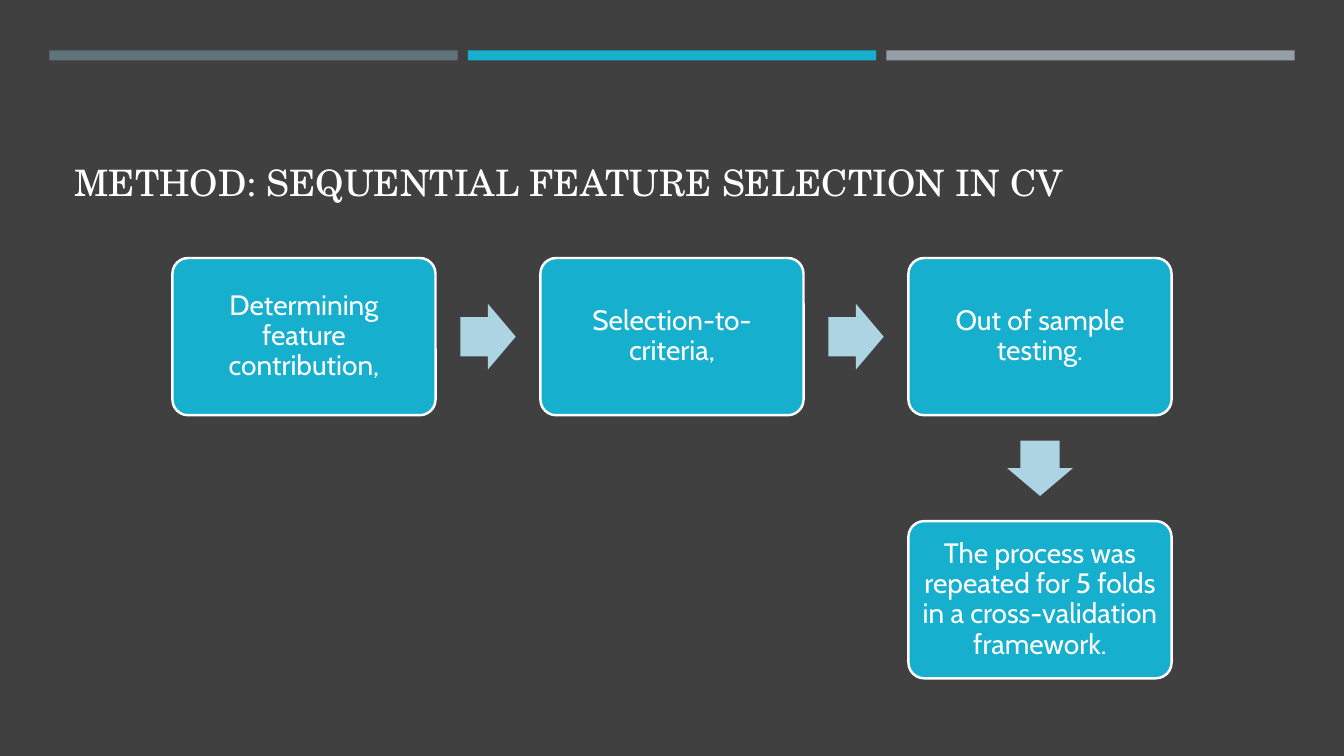
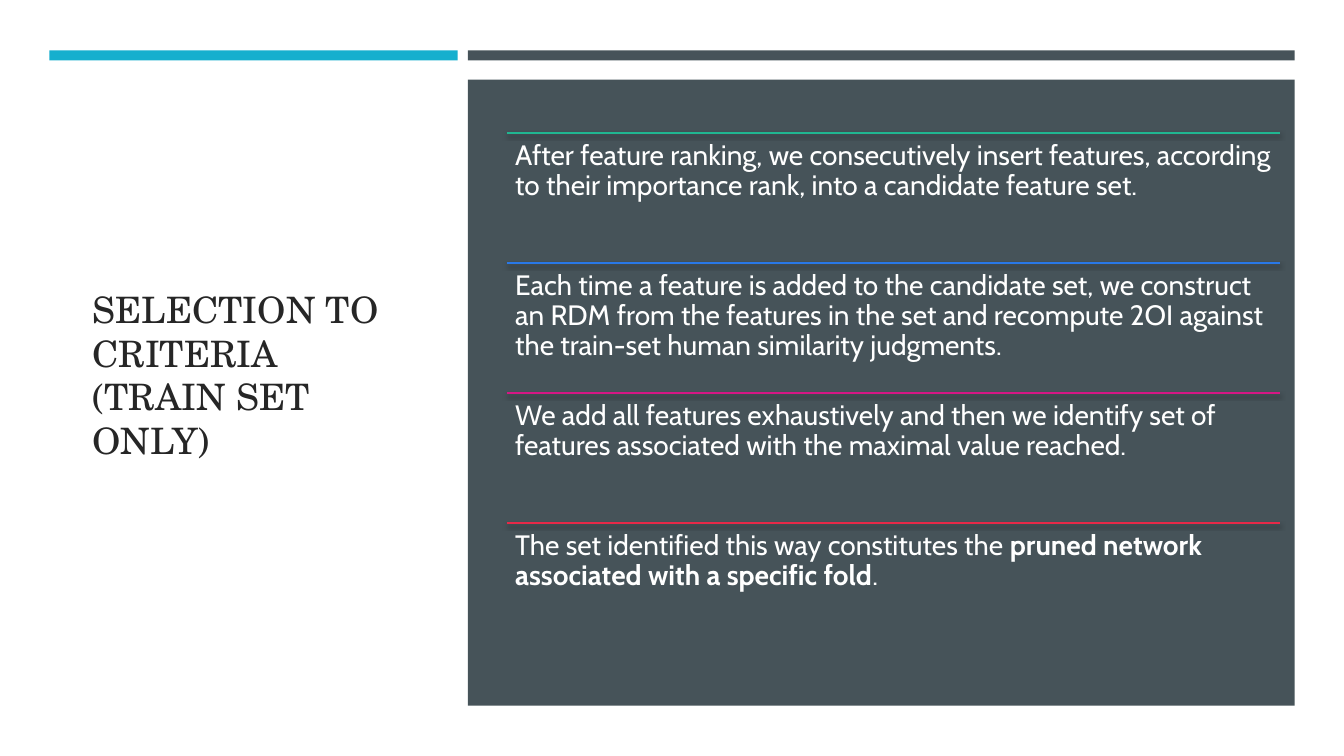
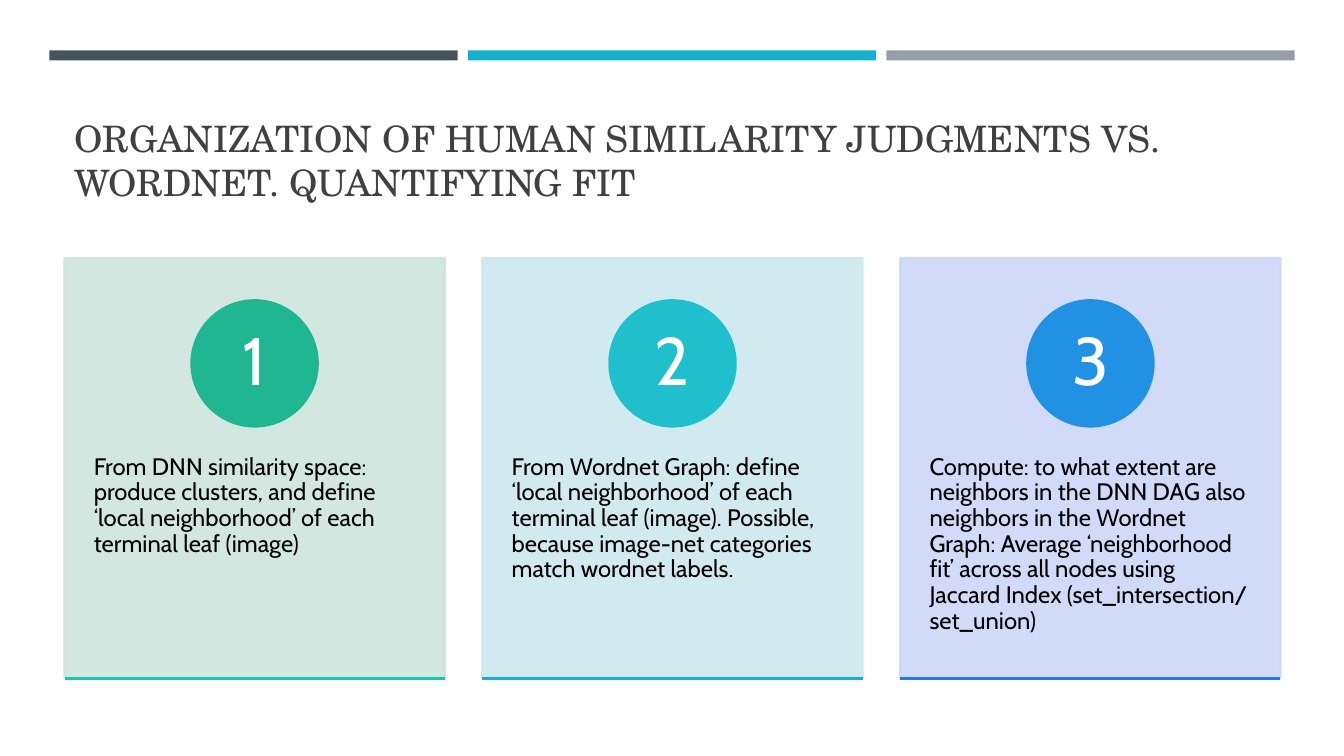
from lxml import etree
from pptx import Presentation
from pptx import util as u
from pptx.dml.color import RGBColor
from pptx.enum import shapes, text
from pptx.oxml.ns import qn

WIDTH, HEIGHT = 13.33, 7.5
BODY_FONT, TITLE_FONT = "Cabin", "TeX Gyre Schola"
WHITE, BLACK, CHARCOAL, INK = "FFFFFF", "000000", "404040", "262626"
TEAL, SLATE, STEEL, SILVER, PALE = "16AFCE", "465359", "60727A", "969FA7", "ACD4E3"

BAND_LEFT, BAND_TOP, BAND_WIDTH, BAND_HEIGHT, BAND_GAP = 0.49, 0.5, 4.05, 0.1, 0.1
TITLE_AREA = (0.64, 0.77, 12.06, 1.3)
CONTENT_LEFT, CONTENT_TOP, CONTENT_WIDTH, CONTENT_HEIGHT = 0.64, 2.56, 12.06, 4.17

STEPS = [
    ("Determining feature contribution,", 0, 0),
    ("Selection-to-criteria,", 1, 0),
    ("Out of sample testing.", 2, 0),
    ("The process was repeated for 5 folds in a cross-validation framework.", 2, 1),
]
CRITERIA = [
    ("20B691", [("After feature ranking, we consecutively insert features, according to "
                 "their importance rank, into a candidate feature set.", False)]),
    ("2978E7", [("Each time a feature is added to the candidate set, we construct an RDM "
                 "from the features in the set and recompute 2OI against the train-set "
                 "human similarity judgments.", False)]),
    ("D51785", [("We add all features exhaustively and then we identify set of features "
                 "associated with the maximal value reached.", False)]),
    ("E72948", [("The set identified this way constitutes the ", False),
                ("pruned network associated with a specific fold", True),
                (".", False)]),
]
CARDS = [
    ("CDE5DC", "20B691", "20C2B5",
     "From DNN similarity space: produce clusters, and define ‘local neighborhood’ "
     "of each terminal leaf (image)"),
    ("CCE8EE", "1FBFCE", "1EABDB",
     "From Wordnet Graph: define ‘local neighborhood’ of each terminal leaf (image). "
     "Possible, because image-net categories match wordnet labels."),
    ("CDD7F6", "2192E3", "2978E7",
     "Compute: to what extent are neighbors in the DNN DAG also neighbors in the "
     "Wordnet Graph: Average ‘neighborhood fit’ across all nodes using Jaccard Index "
     "(set_intersection/ set_union)"),
]


def rgb(code):
    """Turn a hex string into a colour."""
    return RGBColor.from_string(code)


def add_slide(deck, background):
    """Add a blank slide with a plain background."""
    slide = deck.slides.add_slide(deck.slide_layouts[6])
    slide.background.fill.solid()
    slide.background.fill.fore_color.rgb = rgb(background)
    return slide


def add_block(slide, preset, area, fill, outline=None):
    """Add a flat preset shape with an optional outline."""
    block = slide.shapes.add_shape(preset, *map(u.Inches, area))
    block.shadow.inherit = False
    block.fill.solid()
    block.fill.fore_color.rgb = rgb(fill)
    if outline:
        block.line.color.rgb = rgb(outline)
        block.line.width = u.Pt(1.75)
    else:
        block.line.fill.background()
    return block


def add_rule(slide, left, top, width, color, weight, shadowed=False):
    """Add a horizontal rule, with a soft shadow below it if wanted."""
    rule = slide.shapes.add_connector(
        shapes.MSO_CONNECTOR.STRAIGHT,
        *map(u.Inches, (left, top, left + width, top)))
    rule.line.color.rgb = rgb(color)
    rule.line.width = u.Pt(weight)
    effects = etree.SubElement(rule._element.spPr, qn("a:effectLst"))
    if shadowed:
        shadow = etree.SubElement(
            effects, qn("a:outerShdw"), blurRad=str(u.Pt(3)), dist=str(u.Pt(2)),
            dir="5400000", algn="ctr", rotWithShape="0")
        shade = etree.SubElement(shadow, qn("a:srgbClr"), val=BLACK)
        etree.SubElement(shade, qn("a:alpha"), val="55000")


def set_opacity(block, percent):
    """Make the fill and the outline of a shape translucent."""
    for color in block._element.spPr.iter(qn("a:srgbClr")):
        etree.SubElement(color, qn("a:alpha"), val=str(percent * 1000))


def write(holder, pieces, size, color, font=BODY_FONT, anchor="TOP", align="LEFT",
          insets=(0.08, 0.08, 0.08, 0.08), spacing=0.9):
    """Write one paragraph of (words, bold) pieces into a shape."""
    frame = holder.text_frame
    frame.word_wrap = True
    frame.vertical_anchor = text.MSO_ANCHOR[anchor]
    (frame.margin_left, frame.margin_top,
     frame.margin_right, frame.margin_bottom) = map(u.Inches, insets)
    paragraph = frame.paragraphs[0]
    paragraph.alignment = text.PP_ALIGN[align]
    paragraph.line_spacing = spacing
    for words, bold in pieces:
        run = paragraph.add_run()
        run.text = words
        run.font.name, run.font.size, run.font.bold = font, u.Pt(size), bold
        run.font.color.rgb = rgb(color)


def add_title(slide, words, color, area=TITLE_AREA, anchor="BOTTOM"):
    """Add the slide title."""
    title = slide.shapes.add_textbox(*map(u.Inches, area))
    write(title, [(words, False)], 26, color, TITLE_FONT, anchor,
          insets=(0.1, 0.05, 0.1, 0.05), spacing=1.0)


def band_column(column, span=1):
    """Give left and width of a span of band columns."""
    pitch = BAND_WIDTH + BAND_GAP
    return BAND_LEFT + column * pitch, span * pitch - BAND_GAP


def add_bands(slide, *bands):
    """Add the top bands, each given as a colour and a column span."""
    column = 0
    for color, span in bands:
        left, width = band_column(column, span)
        add_block(slide, shapes.MSO_SHAPE.RECTANGLE,
                  (left, BAND_TOP, width, BAND_HEIGHT), color)
        column += span


def add_step_arrow(slide, center_x, center_y, rotation=0):
    """Add a block arrow centred on a point."""
    width, height = 0.55, 0.65
    arrow = add_block(slide, shapes.MSO_SHAPE.RIGHT_ARROW,
                      (center_x - width / 2, center_y - height / 2, width, height), PALE)
    arrow.adjustments[0], arrow.adjustments[1] = 0.6, 0.5
    arrow.rotation = rotation


def build_method(deck):
    """Build the slide with the steps of the method."""
    slide = add_slide(deck, CHARCOAL)
    add_title(slide, "METHOD: SEQUENTIAL FEATURE SELECTION IN CV", WHITE)
    add_bands(slide, (STEEL, 1), (TEAL, 1), (SILVER, 1))
    width, height, pitch_x, pitch_y = 2.61, 1.56, 3.65, 2.61
    first_left = (WIDTH - 2 * pitch_x - width) / 2
    centers = []
    for words, column, row in STEPS:
        left, top = first_left + column * pitch_x, CONTENT_TOP + row * pitch_y
        step = add_block(slide, shapes.MSO_SHAPE.ROUNDED_RECTANGLE,
                         (left, top, width, height), TEAL, WHITE)
        step.adjustments[0] = 0.1
        write(step, [(words, False)], 20, WHITE, anchor="MIDDLE", align="CENTER")
        centers.append((left + width / 2, top + height / 2))
    for (x, y), (next_x, next_y) in zip(centers, centers[1:]):
        add_step_arrow(slide, (x + next_x) / 2, (y + next_y) / 2,
                       90 if next_y > y else 0)


def build_criteria(deck):
    """Build the slide with the ruled list of criteria."""
    slide = add_slide(deck, WHITE)
    add_title(slide, "SELECTION TO CRITERIA (TRAIN SET ONLY)", INK,
              (0.82, 1.14, 3.34, 5.15), "MIDDLE")
    add_bands(slide, (TEAL, 1), (SLATE, 2))
    panel_left, panel_width = band_column(1, 2)
    add_block(slide, shapes.MSO_SHAPE.RECTANGLE,
              (panel_left, 0.79, panel_width, 6.21), SLATE)
    left, first_top, width, row_height = 5.03, 1.32, 7.67, 1.29
    for row, (color, pieces) in enumerate(CRITERIA):
        top = first_top + row * row_height
        add_rule(slide, left, top, width, color, 1, shadowed=True)
        criterion = slide.shapes.add_textbox(
            *map(u.Inches, (left, top, width, row_height)))
        write(criterion, pieces, 20, WHITE)


def build_fit(deck):
    """Build the slide with the numbered cards."""
    slide = add_slide(deck, WHITE)
    add_bands(slide, (SLATE, 1), (TEAL, 1), (SILVER, 1))
    add_title(slide, "ORGANIZATION OF HUMAN SIMILARITY JUDGMENTS VS. WORDNET. "
                     "QUANTIFYING FIT", CHARCOAL)
    width, badge_size = 3.77, 1.25
    pitch = (CONTENT_WIDTH - width) / (len(CARDS) - 1)
    for number, (tint, badge_color, rule_color, words) in enumerate(CARDS, 1):
        left = CONTENT_LEFT + (number - 1) * pitch
        card = add_block(slide, shapes.MSO_SHAPE.RECTANGLE,
                         (left, CONTENT_TOP, width, CONTENT_HEIGHT), tint, tint)
        set_opacity(card, 90)
        write(card, [(words, False)], 17, BLACK, insets=(0.29, 1.95, 0.29, 0.1))
        badge = add_block(slide, shapes.MSO_SHAPE.OVAL,
                          (left + (width - badge_size) / 2, CONTENT_TOP + 0.42,
                           badge_size, badge_size), badge_color, badge_color)
        write(badge, [(str(number), False)], 48, WHITE, anchor="MIDDLE",
              align="CENTER", insets=(0.1, 0.01, 0.1, 0.01))
        add_rule(slide, left, CONTENT_TOP + CONTENT_HEIGHT, width, rule_color, 1.75)


def main():
    """Build the deck and save it."""
    deck = Presentation()
    deck.slide_width, deck.slide_height = u.Inches(WIDTH), u.Inches(HEIGHT)
    build_method(deck)
    build_criteria(deck)
    build_fit(deck)
    deck.save("out.pptx")


if __name__ == "__main__":
    main()
